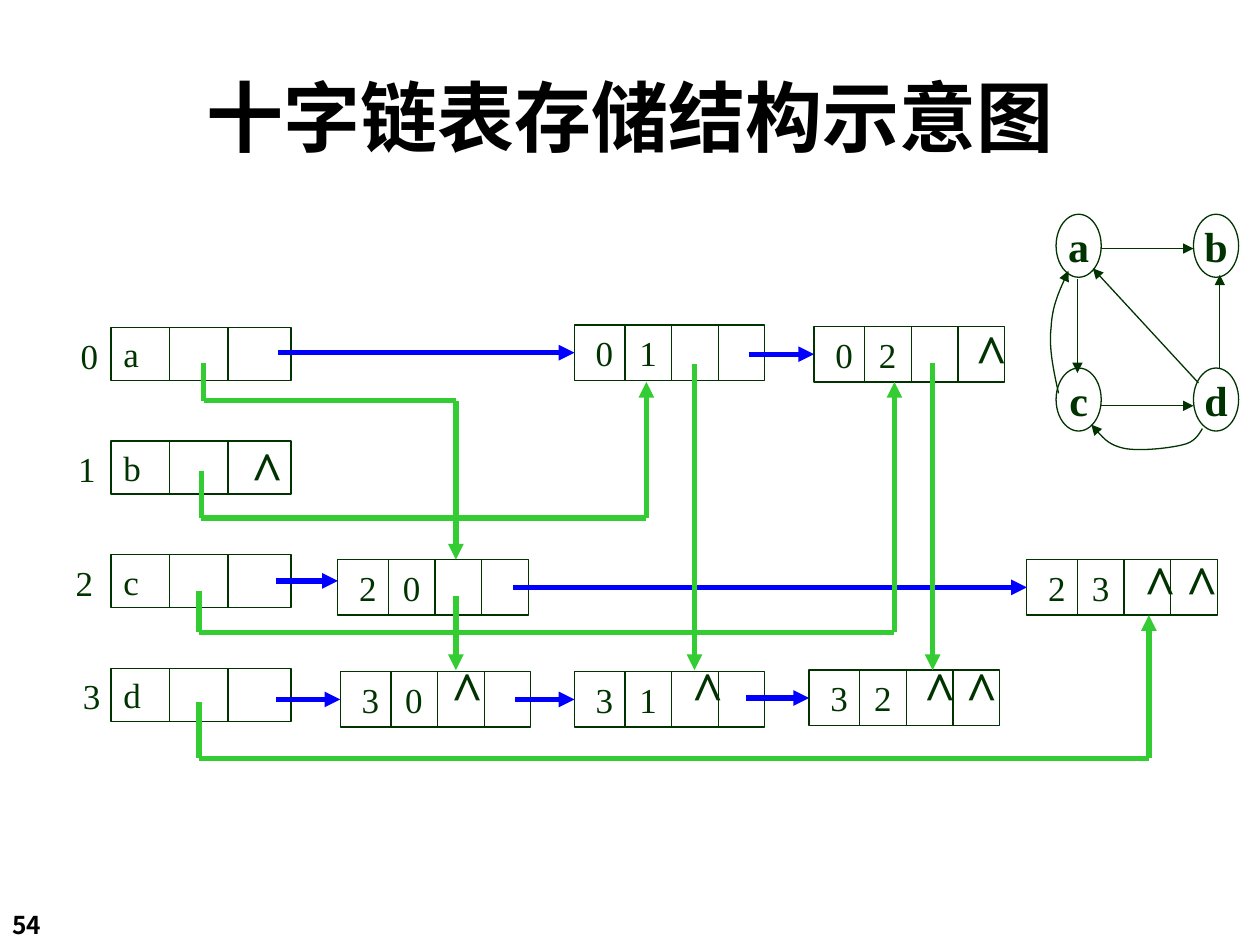
from dataclasses import dataclass
from itertools import pairwise

import pptx
import pptx.dml.color
import pptx.enum.shapes
import pptx.enum.text
import pptx.oxml
import pptx.oxml.ns
import pptx.util

Cm, Pt = pptx.util.Cm, pptx.util.Pt
qn = pptx.oxml.ns.qn
SHAPE = pptx.enum.shapes.MSO_SHAPE
ALIGN = pptx.enum.text.PP_ALIGN
ANCHOR = pptx.enum.text.MSO_ANCHOR


@dataclass(frozen=True)
class Theme:
    ink: str = "003300"
    black: str = "000000"
    row_link: str = "0000FF"
    column_link: str = "33CC33"
    sans: str = "Noto Sans CJK SC"
    serif: str = "Times New Roman"
    title: int = 44
    null: int = 32
    vertex: int = 24
    cell: int = 20
    page: int = 14
    thin: float = 0.75
    thick: float = 3


T = Theme()


def rgb(color):
    return pptx.dml.color.RGBColor.from_string(color)


def add_text(sp, text, size=T.cell, font=T.serif, color=T.ink, bold=False, align=ALIGN.LEFT,
             anchor=ANCHOR.MIDDLE, wrap=False, inset=0.25, tab=None):
    tf = sp.text_frame
    tf.word_wrap = wrap
    tf.vertical_anchor = anchor
    tf.margin_left, tf.margin_right = Cm(inset), Cm(0.25)
    tf.margin_top = tf.margin_bottom = Cm(0.13)
    p = tf.paragraphs[0]
    p.alignment = align
    if tab:
        tabs = pptx.oxml.parse_xml(
            '<a:tabLst xmlns:a="http://schemas.openxmlformats.org/drawingml/2006/main">'
            f'<a:tab pos="{Cm(tab)}" algn="l"/></a:tabLst>')
        p._p.get_or_add_pPr().append(tabs)
    r = p.add_run()
    r.text = text
    r.font.size, r.font.name, r.font.bold = Pt(size), font, bold
    r.font.color.rgb = rgb(color)
    ea = r._r.get_or_add_rPr().makeelement(qn("a:ea"), {"typeface": font})
    r._r.rPr.find(qn("a:latin")).addnext(ea)


def add_label(s, x, y, w, h, text, **fmt):
    add_text(s.shapes.add_textbox(Cm(x), Cm(y), Cm(w), Cm(h)), text, **fmt)


def set_line(sp, color=T.ink, width=T.thin, arrow=False):
    sp.line.color.rgb = rgb(color)
    sp.line.width = Pt(width)
    if arrow:
        ln = sp.line._get_or_add_ln()
        ln.append(ln.makeelement(qn("a:tailEnd"), {"type": "triangle"}))


def add_outline(s, kind, x, y, w, h):
    sp = s.shapes.add_shape(kind, Cm(x), Cm(y), Cm(w), Cm(h))
    sp.shadow.inherit = False
    sp.fill.background()
    set_line(sp)
    return sp


def add_line(s, x1, y1, x2, y2, **style):
    c = s.shapes.add_connector(pptx.enum.shapes.MSO_CONNECTOR.STRAIGHT,
                               Cm(x1), Cm(y1), Cm(x2), Cm(y2))
    set_line(c, **style)
    c._element.spPr.append(c._element.spPr.makeelement(qn("a:effectLst"), {}))
    return c


def add_curve(s, x, y, points):
    """Draw an arrow along cubic Bezier pieces: a start, then three points each."""
    start, *rest = [(Cm(x + px), Cm(y + py)) for px, py in points]
    fb = s.shapes.build_freeform(*start)
    fb.add_line_segments(rest, close=False)
    sp = fb.convert_to_shape()
    sp.shadow.inherit = False
    sp.fill.background()
    set_line(sp, arrow=True)
    segments = list(sp._element.iter(qn("a:lnTo")))
    for i in range(0, len(segments), 3):
        bezier = segments[i].makeelement(qn("a:cubicBezTo"), {})
        segments[i].addprevious(bezier)
        for segment in segments[i:i + 3]:
            bezier.append(segment[0])
            segment.getparent().remove(segment)


def add_graph(s, x, y):
    w, h, dx, dy = 0.91, 1.27, 2.77, 3.1
    for i, name in enumerate("abcd"):
        row, col = divmod(i, 2)
        sp = add_outline(s, SHAPE.OVAL, x + col * dx, y + row * dy, w, h)
        add_text(sp, name, size=T.vertex, bold=True, align=ALIGN.CENTER)
    edges = [(w, 0.69, dx, 0.69), (w, 3.86, dx, 3.86), (0.43, 1.3, 0.43, 3.2),
             (2.87, 3.4, 0.74, 1.09), (3.3, 3.12, 3.3, 1.22)]
    for x1, y1, x2, y2 in edges:
        add_line(s, x + x1, y + y1, x + x2, y + y2, arrow=True)
    add_curve(s, x, y, [(2.95, 4.32), (2.87, 4.45), (2.79, 4.6), (2.54, 4.65), (2.26, 4.72),
                        (1.68, 4.78), (1.37, 4.72), (1.07, 4.65), (0.89, 4.45), (0.71, 4.24)])
    add_curve(s, x, y, [(0.05, 3.61), (-0.05, 3.15), (-0.15, 2.69), (-0.1, 2.29),
                        (-0.08, 1.88), (0.08, 1.5), (0.25, 1.14)])


def add_record(s, x, y, w, h, text, dividers, nulls=(), null_y=0, **fmt):
    """Draw a divided rectangle, with a null mark at each offset in nulls."""
    sp = add_outline(s, SHAPE.RECTANGLE, x, y, w, h)
    add_text(sp, text, **fmt)
    for d in dividers:
        add_line(s, x + d, y, x + d, y + h)
    for n in nulls:
        add_label(s, x + n, y + null_y, 1.17, 1.63, "^", size=T.null, bold=True,
                  anchor=ANCHOR.TOP)
    return sp


def add_heads(s, x, y):
    label_offsets = [-0.87, -0.92, -0.97, -0.82]
    for i, (name, dx) in enumerate(zip("abcd", label_offsets)):
        top = y + i * 2.29
        add_record(s, x, top, 3.63, 1.07, name, (1.18, 2.36),
                   nulls=(2.57,) if name == "b" else (), null_y=-0.25)
        add_label(s, x + dx, top, 0.86, 1.12, str(i), align=ALIGN.CENTER)


def add_arcs(s, x, y):
    arcs = {"01": (9.58, 0.05, (), 0), "02": (14.41, 0.08, (3,), -0.28),
            "20": (4.81, 4.78, (), 0), "23": (18.7, 4.78, (2.11, 2.95), -0.33),
            "30": (4.86, 7.04, (1.98,), -0.46), "31": (9.58, 7.04, (2.11,), -0.46),
            "32": (14.31, 7.01, (2.06, 2.9), -0.43)}
    w, h = 3.84, 1.12
    nodes = {ends: add_record(s, x + left, y + top, w, h, "\t".join(ends), (1.02, 1.96, 2.9),
                              nulls, null_y, wrap=True, inset=0.43, tab=0.88)
             for ends, (left, top, nulls, null_y) in arcs.items()}

    blue = dict(color=T.row_link, width=T.thick, arrow=True)
    row_starts = {"01": 3.61, "02": 13.09, "23": 8.34, "30": 3.56, "31": 8.39, "32": 13.04}
    for ends, start in row_starts.items():
        left, top = arcs[ends][:2]
        middle = y + top + h / 2
        c = add_line(s, x + start, middle, x + left, middle, **blue)
        c.end_connect(nodes[ends], 1)
    add_line(s, x + 3.56, y + 5.21, x + 4.81, y + 5.21, **blue)


def add_column_links(s, x, y):
    routes = [[(2.11, 0.82), (2.11, 1.58), (7.19, 1.58), (7.19, 4.78)],
              [(2.06, 3), (2.06, 3.94), (11.03, 3.94), (11.03, 1.2)],
              [(2.01, 5.41), (2.01, 6.25), (16.03, 6.25), (16.03, 1.2)],
              [(2.01, 7.65), (2.01, 8.79), (21.16, 8.79), (21.16, 5.9)],
              [(7.19, 5.51), (7.19, 7.01)],
              [(12, 0.84), (12, 7.01)],
              [(16.8, 0.82), (16.8, 7.01)]]
    for route in routes:
        for (x1, y1), (x2, y2) in pairwise(route):
            add_line(s, x + x1, y + y1, x + x2, y + y2, color=T.column_link,
                     width=T.thick, arrow=(x2, y2) == route[-1])


def add_orthogonal_list(s, x, y):
    add_heads(s, x + 0.24, y + 0.1)
    add_arcs(s, x, y)
    add_column_links(s, x, y)


def main():
    prs = pptx.Presentation()
    prs.slide_width, prs.slide_height = Cm(25.4), Cm(19.05)
    s = prs.slides.add_slide(prs.slide_layouts[6])
    heading = dict(font=T.sans, color=T.black, bold=True, wrap=True)
    add_label(s, 0, 18.21, 2.11, 0.86, "54", size=T.page, anchor=ANCHOR.TOP, **heading)
    add_label(s, 1.07, 1.07, 23.29, 2.54, "十字链表存储结构示意图", size=T.title,
              align=ALIGN.CENTER, **heading)
    add_graph(s, 21.29, 4.32)
    add_orthogonal_list(s, 2, 6.5)
    prs.save("out.pptx")


if __name__ == "__main__":
    main()
